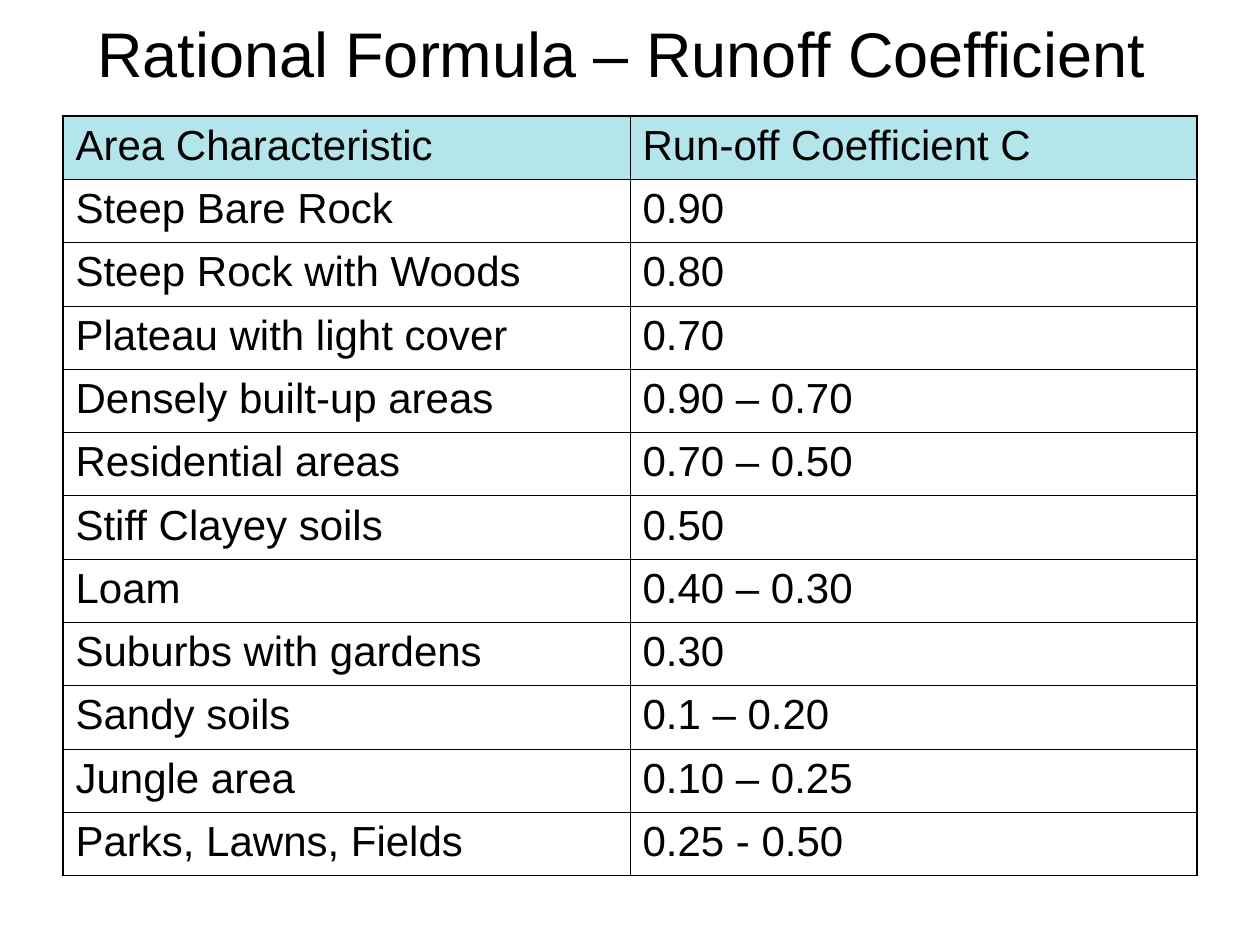
import pptx
import pptx.dml.color
import pptx.enum.text
import pptx.oxml
import pptx.oxml.ns
import pptx.util

PX = 914400 // 126
BLACK, HEADER_FILL = "000000", "B4E5EA"
THIN, THICK = 0.45, 1.08
FONT = "Arial"

# The trailing space counts in the centring of the title.
TITLE = "Rational Formula – Runoff Coefficient "
ROWS = [
    ("Area Characteristic", "Run-off Coefficient C"),
    ("Steep Bare Rock", "0.90"),
    ("Steep Rock with Woods", "0.80"),
    ("Plateau with light cover", "0.70"),
    ("Densely built-up areas", "0.90 – 0.70"),
    ("Residential areas", "0.70 – 0.50"),
    ("Stiff Clayey soils", "0.50"),
    ("Loam", "0.40 – 0.30"),
    ("Suburbs with gardens", "0.30"),
    ("Sandy soils", "0.1 – 0.20"),
    ("Jungle area", "0.10 – 0.25"),
    ("Parks, Lawns, Fields", "0.25 - 0.50"),
]
TITLE_BOX = (0, 0, 1260, 105)
TABLE_BOX = (63, 116, 1134, 760)


def emu(box):
    return [v * PX for v in box]


def rgb(color):
    return pptx.dml.color.RGBColor.from_string(color)


def set_text(p, text, size):
    p.text = text
    p.font.name = FONT
    p.font.size = pptx.util.Pt(size)
    p.font.bold = False
    p.font.color.rgb = rgb(BLACK)


def set_borders(cell, widths):
    """Draw the left, right, top and bottom borders, widths in points."""
    tcPr = cell._tc.get_or_add_tcPr()
    for i, (side, width) in enumerate(zip("LRTB", widths)):
        tcPr.insert(i, pptx.oxml.parse_xml(
            f'<a:ln{side} {pptx.oxml.ns.nsdecls("a")} w="{pptx.util.Pt(width)}">'
            f'<a:solidFill><a:srgbClr val="{BLACK}"/></a:solidFill></a:ln{side}>'))


def add_title(slide):
    tf = slide.shapes.add_textbox(*emu(TITLE_BOX)).text_frame
    tf.word_wrap = True
    tf.vertical_anchor = pptx.enum.text.MSO_ANCHOR.MIDDLE
    p = tf.paragraphs[0]
    p.alignment = pptx.enum.text.PP_ALIGN.CENTER
    set_text(p, TITLE, 36)


def add_coefficients(slide):
    last_row, last_col = len(ROWS) - 1, len(ROWS[0]) - 1
    table = slide.shapes.add_table(len(ROWS), len(ROWS[0]), *emu(TABLE_BOX)).table
    table.first_row = table.horz_banding = False
    for r, row in enumerate(ROWS):
        for c, text in enumerate(row):
            cell = table.cell(r, c)
            set_text(cell.text_frame.paragraphs[0], text, 24)
            if r == 0:
                cell.fill.solid()
                cell.fill.fore_color.rgb = rgb(HEADER_FILL)
            else:
                cell.fill.background()
            outer = (c == 0, c == last_col, r == 0, r == last_row)
            set_borders(cell, [THICK if edge else THIN for edge in outer])


def main():
    prs = pptx.Presentation()
    prs.slide_width, prs.slide_height = emu((1260, 945))
    slide = prs.slides.add_slide(prs.slide_layouts[6])
    add_title(slide)
    add_coefficients(slide)
    prs.save("out.pptx")


if __name__ == "__main__":
    main()
